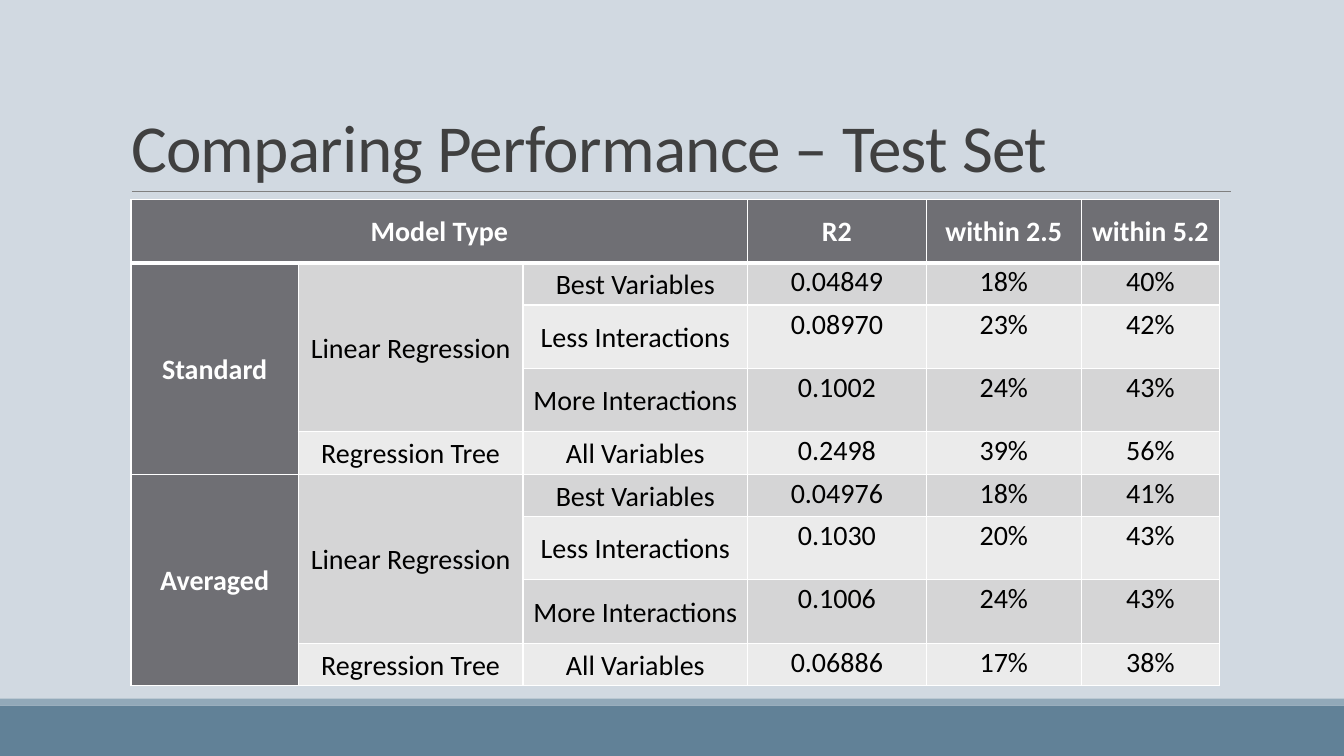
from dataclasses import dataclass

from lxml.etree import SubElement
from pptx import Presentation
from pptx.dml.color import RGBColor
from pptx.enum.shapes import MSO_CONNECTOR, MSO_SHAPE
from pptx.enum.text import MSO_ANCHOR, MSO_AUTO_SIZE, PP_ALIGN
from pptx.oxml.ns import qn
from pptx.util import Pt

BACKGROUND = RGBColor(0xD1, 0xD9, 0xE1)
FOOTER_DARK = RGBColor(0x61, 0x81, 0x97)
FOOTER_LIGHT = RGBColor(0x92, 0xA9, 0xB9)
RULE = RGBColor(0x80, 0x80, 0x80)
TITLE = RGBColor(0x40, 0x40, 0x40)
HEADER = RGBColor(0x6F, 0x6F, 0x74)
BAND_DARK = RGBColor(0xD5, 0xD5, 0xD6)
BAND_LIGHT = RGBColor(0xEB, 0xEB, 0xEB)
WHITE = RGBColor(0xFF, 0xFF, 0xFF)
BLACK = RGBColor(0, 0, 0)
FONT = "Calibri"
SLIDE_W, SLIDE_H = 960, 540


@dataclass
class Bar:
    top: float
    height: float
    color: RGBColor


@dataclass
class Group:
    name: str
    results: list[tuple[str, str, str]]


BARS = [Bar(504, 36, FOOTER_DARK), Bar(499, 5, FOOTER_LIGHT)]
HEADINGS = ["Model Type", "", "", "R2", "within 2.5", "within 5.2"]
VARIANTS = ["Best Variables", "Less Interactions", "More Interactions", "All Variables"]
GROUPS = [
    Group("Standard", [("0.04849", "18%", "40%"), ("0.08970", "23%", "42%"),
                       ("0.1002", "24%", "43%"), ("0.2498", "39%", "56%")]),
    Group("Averaged", [("0.04976", "18%", "41%"), ("0.1030", "20%", "43%"),
                       ("0.1006", "24%", "43%"), ("0.06886", "17%", "38%")]),
]
COL_WIDTHS = [119.5, 160.5, 160.5, 127.5, 111, 98.5]
GROUP_HEIGHTS = [30.2, 45.3, 45.3, 30.2]
ROW_HEIGHTS = [45.3] + GROUP_HEIGHTS * len(GROUPS)


def add_bar(s, bar: Bar) -> None:
    sp = s.shapes.add_shape(MSO_SHAPE.RECTANGLE, 0, Pt(bar.top), Pt(SLIDE_W), Pt(bar.height))
    sp.shadow.inherit = False
    sp.fill.solid()
    sp.fill.fore_color.rgb = bar.color
    sp.line.fill.background()


def add_rule(s, left: float, right: float, top: float) -> None:
    line = s.shapes.add_connector(MSO_CONNECTOR.STRAIGHT, Pt(left), Pt(top), Pt(right), Pt(top))
    line.line.color.rgb = RULE
    line.line.width = Pt(0.5)
    SubElement(line._element.spPr, qn("a:effectLst"))


def set_title(s, text: str) -> None:
    sp = s.shapes.title
    sp.left, sp.top, sp.width, sp.height = Pt(86.4), Pt(22.5), Pt(792), Pt(114.3)
    tf = sp.text_frame
    tf.text = text
    tf.word_wrap = True
    tf.auto_size = MSO_AUTO_SIZE.NONE
    tf.vertical_anchor = MSO_ANCHOR.BOTTOM
    p = tf.paragraphs[0]
    p.alignment = PP_ALIGN.LEFT
    p.line_spacing = 0.85
    r = p.runs[0]
    r.font.name, r.font.size, r.font.color.rgb = FONT, Pt(48), TITLE
    r._r.get_or_add_rPr().set("spc", "-50")


def add_borders(cell, bottom: float) -> None:
    tcPr = cell._tc.get_or_add_tcPr()
    for side, width in (("L", 1), ("R", 1), ("T", 1), ("B", bottom)):
        ln = SubElement(tcPr, qn(f"a:ln{side}"), w=str(Pt(width)))
        fill = SubElement(ln, qn("a:solidFill"))
        SubElement(fill, qn("a:srgbClr"), val=str(WHITE))


def format_cell(cell, text: str, fill: RGBColor, anchor: MSO_ANCHOR, bottom: float) -> None:
    add_borders(cell, bottom)
    cell.fill.solid()
    cell.fill.fore_color.rgb = fill
    cell.margin_left = cell.margin_right = Pt(3)
    cell.margin_top = cell.margin_bottom = 0
    cell.vertical_anchor = anchor
    cell.text_frame.text = text
    p = cell.text_frame.paragraphs[0]
    p.alignment = PP_ALIGN.CENTER
    p.line_spacing = 1.07
    p.font.size = Pt(20)
    for r in p.runs:
        r.font.name, r.font.size = FONT, Pt(20)
        r.font.bold = fill == HEADER
        r.font.color.rgb = WHITE if fill == HEADER else BLACK


def table_rows() -> list[list[str]]:
    rows = [HEADINGS]
    for group in GROUPS:
        for i, (variant, result) in enumerate(zip(VARIANTS, group.results)):
            name = group.name if i == 0 else ""
            method = {0: "Linear Regression", 3: "Regression Tree"}.get(i, "")
            rows.append([name, method, variant, *result])
    return rows


def add_results_table(s) -> None:
    frame = s.shapes.add_table(len(ROW_HEIGHTS), len(COL_WIDTHS), Pt(93.6), Pt(142.4),
                               Pt(sum(COL_WIDTHS)), Pt(sum(ROW_HEIGHTS)))
    table = frame.table
    for col, width in zip(table.columns, COL_WIDTHS):
        col.width = Pt(width)
    for row, height in zip(table.rows, ROW_HEIGHTS):
        row.height = Pt(height)

    for i, texts in enumerate(table_rows()):
        band = BAND_DARK if i % 2 else BAND_LIGHT
        for j, text in enumerate(texts):
            fill = HEADER if i == 0 or j == 0 else band
            anchor = MSO_ANCHOR.TOP if i and j > 2 else MSO_ANCHOR.MIDDLE
            format_cell(table.cell(i, j), text, fill, anchor, 1 if i else 3)

    # Merged headings and row groups
    table.cell(0, 0).merge(table.cell(0, 2))
    for first in range(1, len(ROW_HEIGHTS), len(VARIANTS)):
        table.cell(first, 0).merge(table.cell(first + 3, 0))
        table.cell(first, 1).merge(table.cell(first + 2, 1))


def main() -> None:
    prs = Presentation()
    prs.slide_width, prs.slide_height = Pt(SLIDE_W), Pt(SLIDE_H)
    s = prs.slides.add_slide(prs.slide_layouts[5])

    # Background, footer bars and title rule
    s.background.fill.solid()
    s.background.fill.fore_color.rgb = BACKGROUND
    for bar in BARS:
        add_bar(s, bar)
    add_rule(s, 94.3, 879, 136.8)

    # Title and results
    set_title(s, "Comparing Performance – Test Set")
    add_results_table(s)
    prs.save("out.pptx")


if __name__ == "__main__":
    main()
